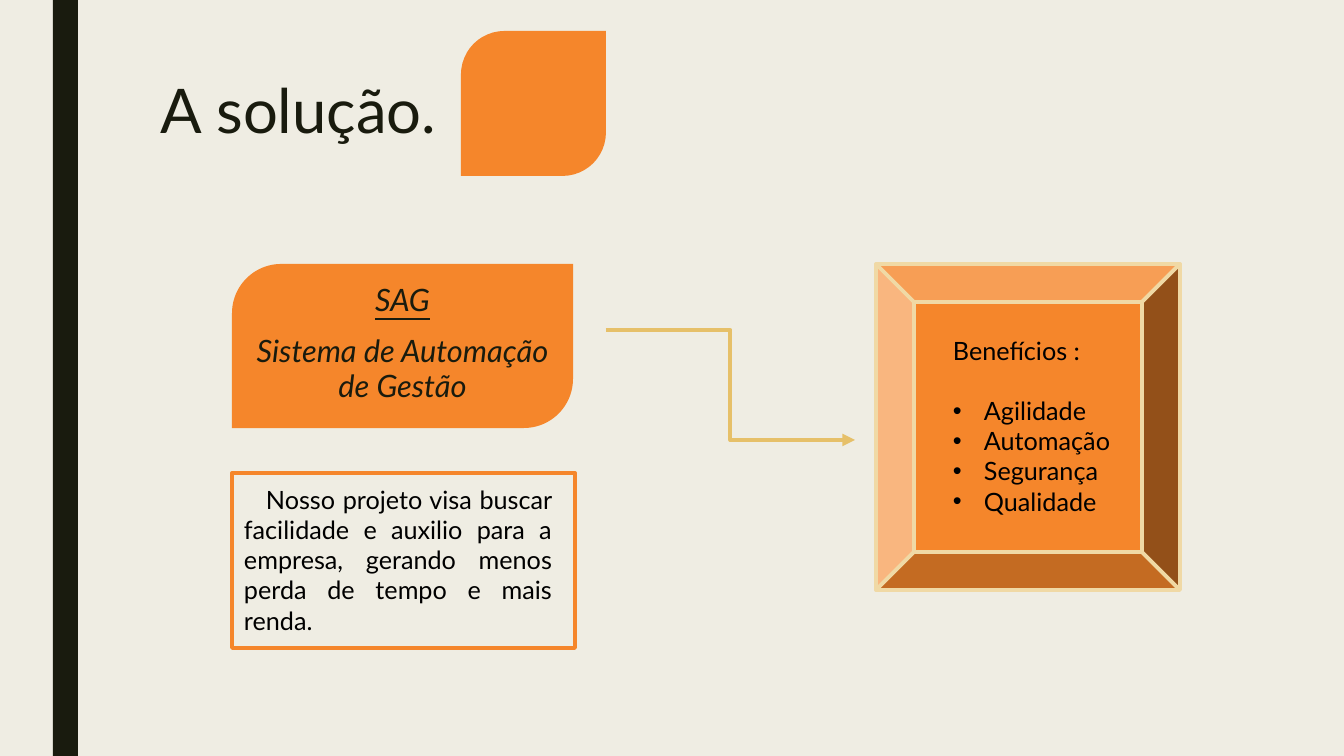
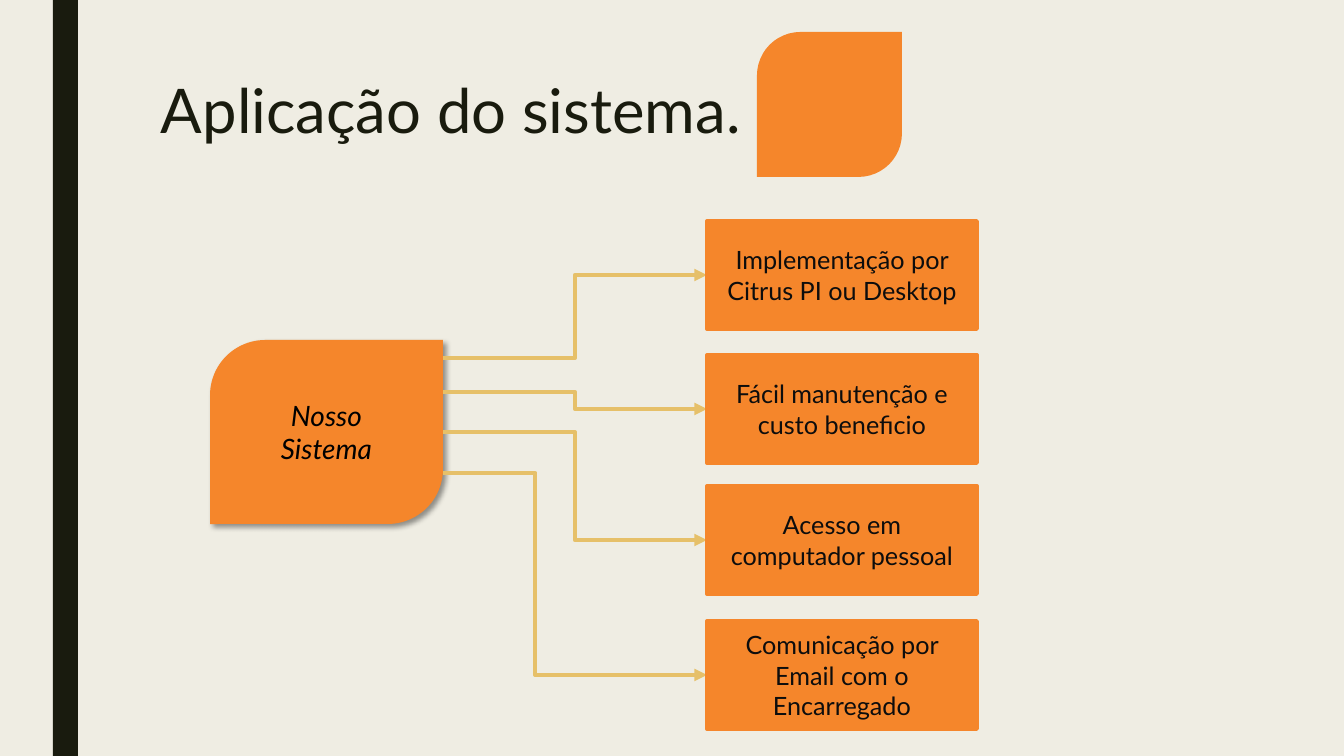
from lxml import etree
from pptx import Presentation
from pptx.dml.color import RGBColor
from pptx.enum.shapes import MSO_CONNECTOR, MSO_SHAPE
from pptx.enum.text import MSO_ANCHOR, PP_ALIGN
from pptx.oxml.ns import qn
from pptx.util import Emu, Pt

ELBOW = MSO_CONNECTOR.ELBOW
RECT, BEVEL = MSO_SHAPE.RECTANGLE, MSO_SHAPE.BEVEL
LEAF = MSO_SHAPE.ROUND_2_DIAG_RECTANGLE
TOP, MIDDLE = MSO_ANCHOR.TOP, MSO_ANCHOR.MIDDLE
LEFT, CENTER, JUSTIFY = PP_ALIGN.LEFT, PP_ALIGN.CENTER, PP_ALIGN.JUSTIFY

EMU_PER_PX = 914400 / 100.8
FONT = "Lato"
COLORS = {
    "paper": "EFEDE3",
    "ink": "191B0E",
    "orange": "F5862B",
    "gold": "E6C069",
    "cream": "F0D9A5",
    "black": "000000",
    "charcoal": "0D0D0D",
}
TITLE = {"size": Pt(44)}
NAME = {"size": Pt(22), "italic": True}
NODE = {"size": Pt(20), "italic": True}
BODY = {"size": Pt(18)}


def px(length):
    """Turn px into EMU."""
    return Emu(round(length * EMU_PER_PX))


def color(name):
    """Look up a palette colour."""
    return RGBColor.from_string(COLORS[name])


def sub(parent, tag, **values):
    """Append a drawing element with the given attributes."""
    return etree.SubElement(parent, qn(tag), {key: str(value) for key, value in values.items()})


def add_box(page, kind, box, fill=None, line=None):
    """Place a flat preset shape."""
    shape = page.shapes.add_shape(kind, *map(px, box))
    shape.shadow.inherit = False
    if fill:
        shape.fill.solid()
        shape.fill.fore_color.rgb = color(fill)
    else:
        shape.fill.background()
    if line:
        shape.line.color.rgb = color(line)
        shape.line.width = Pt(2.75)
    else:
        shape.line.fill.background()
    return shape


def add_leaf(page, box):
    """Place an orange shape with two rounded opposite corners."""
    shape = add_box(page, LEAF, box, "orange")
    shape.adjustments[0] = 0.3
    return shape


def add_text_box(page, box):
    """Place an empty text box."""
    return page.shapes.add_textbox(*map(px, box))


def write(shape, texts, font, ink, layout, anchor=TOP, margin=10):
    """Fill a shape with one formatted paragraph for each text."""
    frame = shape.text_frame
    frame.word_wrap = True
    frame.vertical_anchor = anchor
    frame.margin_left = frame.margin_right = px(margin)
    frame.margin_top = frame.margin_bottom = px(5)
    for index, text in enumerate(texts):
        para = frame.add_paragraph() if index else frame.paragraphs[0]
        for key, value in layout.items():
            setattr(para, key, value)
        span = para.add_run()
        span.text = text
        for key, value in {"name": FONT, **font}.items():
            setattr(span.font, key, value)
        span.font.color.rgb = color(ink)
    return frame.paragraphs


def add_bullet(para, indent):
    """Give a paragraph a hanging round bullet."""
    properties = para._p.get_or_add_pPr()
    properties.set("marL", str(px(indent)))
    properties.set("indent", str(-px(indent)))
    sub(properties, "a:buFont", typeface="Arial")
    sub(properties, "a:buChar", char="•")


def add_arrow(page, start, end, bend=50):
    """Draw an elbow arrow that turns at a percentage of its width."""
    arrow = page.shapes.add_connector(ELBOW, *map(px, (*start, *end)))
    arrow.line.color.rgb = color("gold")
    arrow.line.width = Pt(3)
    sub(arrow.line._get_or_add_ln(), "a:tailEnd", type="triangle")
    properties = arrow._element.spPr
    sub(properties, "a:effectLst")
    guides = properties.find(qn("a:prstGeom")).get_or_add_avLst()
    sub(guides, "a:gd", name="adj1", fmla=f"val {bend * 1000}")


def add_shadow(shape):
    """Cast a soft shadow to the lower right."""
    effects = shape._element.spPr.find(qn("a:effectLst"))
    shadow = sub(effects, "a:outerShdw", blurRad=Pt(4), dist=Pt(3), dir=45 * 60000, algn="tl", rotWithShape=0)
    sub(sub(shadow, "a:srgbClr", val=COLORS["black"]), "a:alpha", val=40000)


def add_page(deck, title, leaf_left, leaf_top):
    """Start a slide with background, side band, title and leaf."""
    page = deck.slides.add_slide(deck.slide_layouts[6])
    page.background.fill.solid()
    page.background.fill.fore_color.rgb = color("paper")
    add_box(page, RECT, (53, 0, 25, 756), "ink")
    write(add_text_box(page, (151, 76, 1058, 163)), [title], TITLE, "ink", {"line_spacing": 0.89})
    add_leaf(page, (leaf_left, leaf_top, 145, 145))
    return page


def add_system_name(page, box):
    """Show the short and full name of the system."""
    layout = {"alignment": CENTER, "line_spacing": 0.94}
    texts = ["SAG", "Sistema de Automação de Gestão"]
    short, full = write(add_leaf(page, box), texts, NAME, "ink", layout, margin=6)
    short.runs[0].font.underline = True
    full.space_before = Pt(12)


def add_benefits(page, box):
    """Show the bulleted benefits inside a bevelled frame."""
    left, top, width, height = box
    add_box(page, BEVEL, box, "orange", "cream")
    texts = ["Benefícios :", "Agilidade", "Automação", "Segurança", "Qualidade"]
    label = add_text_box(page, (left + 67, top + 66, 202, height - 132))
    heading, *items = write(label, texts, BODY, "black", {"alignment": LEFT})
    for item in items:
        add_bullet(item, 31)
    items[0].space_before = Pt(21.5)


def add_purpose(page, box):
    """Show the outlined statement of purpose."""
    left, top, width, height = box
    add_box(page, RECT, box, line="orange")
    text = (
        "Nosso projeto visa buscar facilidade e auxilio para a empresa, "
        "gerando menos perda de tempo e mais renda."
    )
    label = add_text_box(page, (left + 2, top + 6, width - 15, height - 12))
    para = write(label, [text], BODY, "black", {"alignment": JUSTIFY})[0]
    para._p.get_or_add_pPr().set("indent", str(px(22)))


def add_system_map(page, box):
    """Link the system to its four uses, stacked on the right."""
    left, top, width, height = box
    node_width, use_width, use_height = 233, 270, 108
    node = add_leaf(page, (left, top + 119, node_width, 184))
    write(node, ["Nosso", "Sistema"], NODE, "black", {"alignment": CENTER}, MIDDLE)
    add_shadow(node)
    use_left = left + width - use_width
    uses = [
        ("Implementação por Citrus PI ou Desktop", 0, 137, 50),
        ("Fácil manutenção e custo beneficio", 134, 171, 50),
        ("Acesso em computador pessoal", 265, 211, 50),
        ("Comunicação por Email com o Encarregado", height - use_height, 252, 35),
    ]
    for text, use_top, exit_top, bend in uses:
        middle = top + use_top + use_height / 2
        add_arrow(page, (left + node_width, top + exit_top), (use_left, middle), bend)
        use = add_box(page, RECT, (use_left, top + use_top, use_width, use_height), "orange", "orange")
        write(use, [text], BODY, "charcoal", {"alignment": CENTER}, MIDDLE)


def build_solution(deck):
    """Build the slide on the solution."""
    page = add_page(deck, "A solução.", 461, 31)
    add_system_name(page, (232, 264, 341, 164))
    add_arrow(page, (606, 330), (855, 440))
    add_benefits(page, (876, 264, 304, 326))
    add_purpose(page, (232, 473, 343, 175))


def build_application(deck):
    """Build the slide on how the system is applied."""
    page = add_page(deck, "Aplicação do sistema.", 757, 32)
    add_system_map(page, (210, 221, 767, 508))


def main():
    """Build and save the deck."""
    deck = Presentation()
    deck.slide_width, deck.slide_height = px(1344), px(756)
    build_solution(deck)
    build_application(deck)
    deck.save("out.pptx")


if __name__ == "__main__":
    main()
